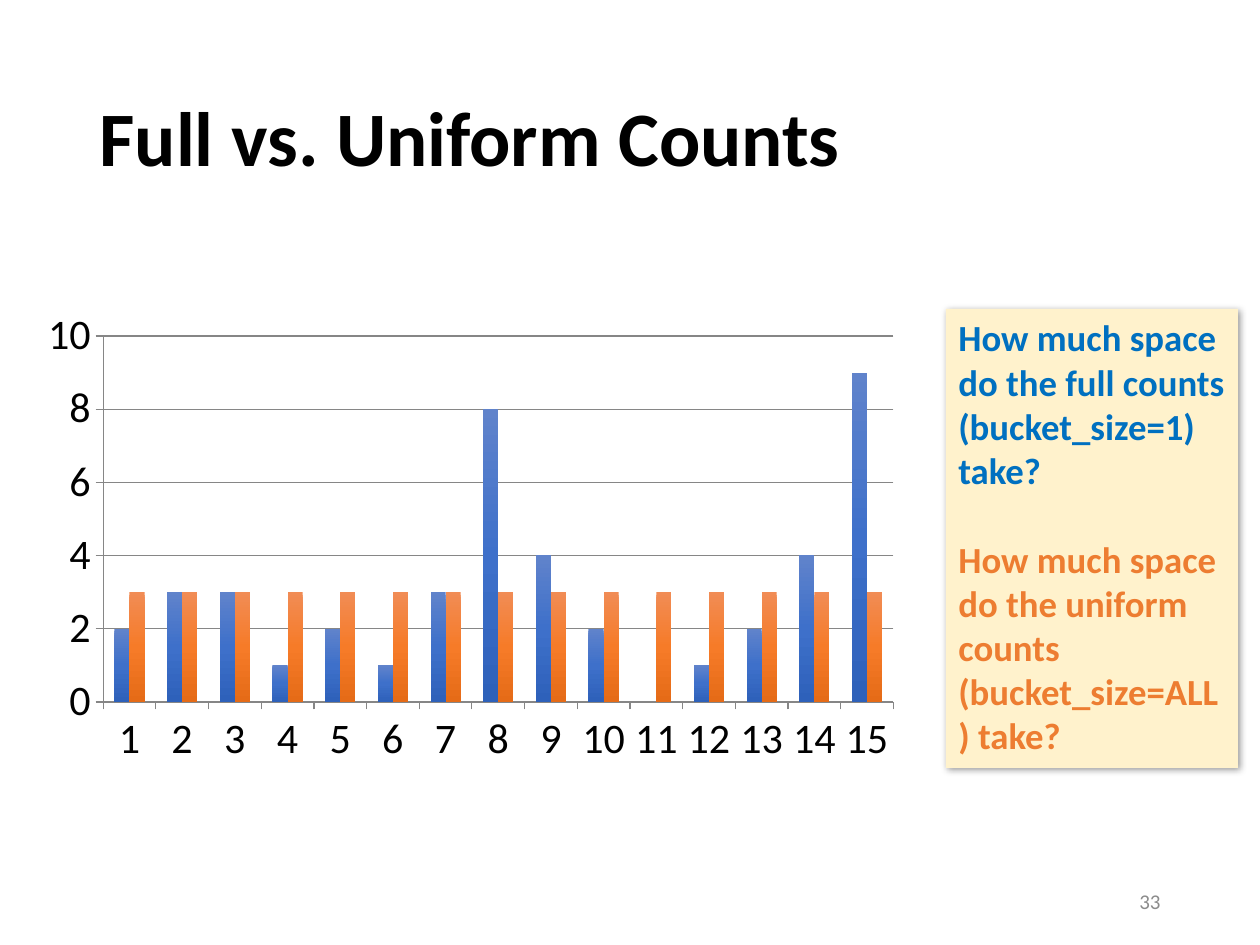
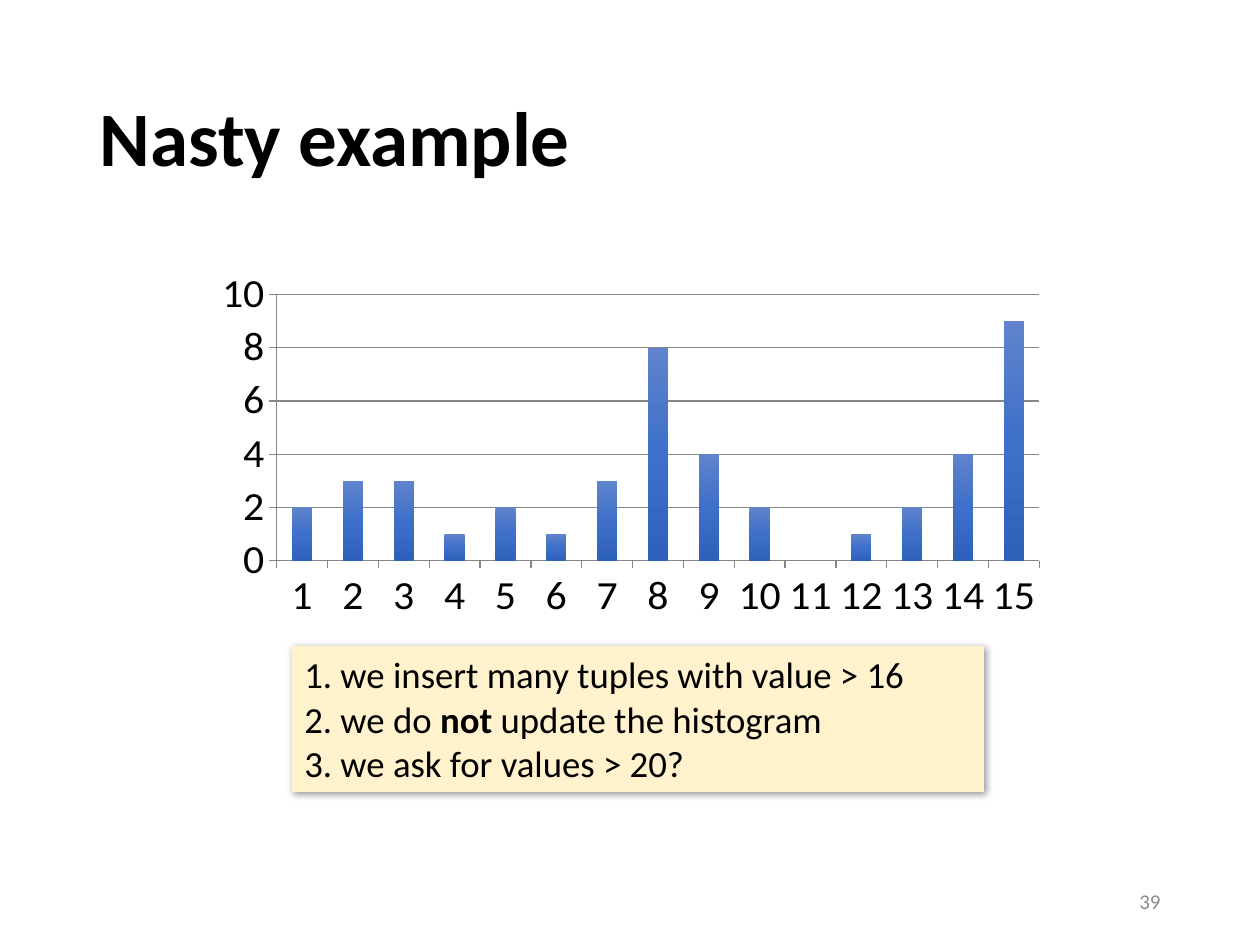
from pptx import Presentation
from pptx.chart.data import CategoryChartData
from pptx.dml.color import RGBColor
from pptx.enum.chart import XL_CHART_TYPE, XL_TICK_MARK
from pptx.enum.shapes import MSO_SHAPE
from pptx.enum.text import MSO_ANCHOR, MSO_AUTO_SIZE, PP_ALIGN
from pptx.oxml import parse_xml
from pptx.oxml.ns import nsdecls, qn
from pptx.util import Emu, Pt

COLUMNS = XL_CHART_TYPE.COLUMN_CLUSTERED
OUTSIDE = XL_TICK_MARK.OUTSIDE
RECT = MSO_SHAPE.RECTANGLE
MIDDLE, TOP = MSO_ANCHOR.MIDDLE, MSO_ANCHOR.TOP
LEFT, RIGHT = PP_ALIGN.LEFT, PP_ALIGN.RIGHT
GROW, FIXED = MSO_AUTO_SIZE.SHAPE_TO_FIT_TEXT, MSO_AUTO_SIZE.NONE

PX = 914400 / 126
FONT = "Calibri"
BLACK, GRAY, GRID = "000000", "8C8C8C", "868686"
CREAM, BLUE, ORANGE = "FFF2CC", "0070C0", "ED7D31"
BLUES = ("6083CB", "3E70CA", "2E61BA")
ORANGES = ("F18C55", "F67B28", "E56B17")

FULL = (2, 3, 3, 1, 2, 1, 3, 8, 4, 2, 0, 1, 2, 4, 9)
UNIFORM = (3,) * len(FULL)

TITLE_BOX = (87, 50, 1086, 183)
PAGE_BOX = (890, 876, 283, 50)


def px(n):
    return Emu(round(n * PX))


def rgb(color):
    return RGBColor.from_string(color)


def style(font, size, color, bold=False):
    font.name, font.size, font.bold = FONT, Pt(size), bold
    font.color.rgb = rgb(color)


def place(shape, box):
    shape.left, shape.top, shape.width, shape.height = map(px, box)


def add_page(deck, title, number):
    slide = deck.slides.add_slide(deck.slide_layouts[5])
    # Title
    head = slide.shapes.title
    place(head, TITLE_BOX)
    frame = head.text_frame
    frame.text = title
    frame.vertical_anchor, frame.auto_size = MIDDLE, FIXED
    para = frame.paragraphs[0]
    para.alignment, para.line_spacing = LEFT, 0.9
    style(para.font, 44, BLACK, True)
    # Page number
    frame = slide.shapes.add_textbox(*map(px, PAGE_BOX)).text_frame
    frame.text = str(number)
    frame.word_wrap, frame.vertical_anchor = True, MIDDLE
    para = frame.paragraphs[0]
    para.alignment = RIGHT
    style(para.font, 12, GRAY)
    return slide


def shade(series, colors):
    """Fill the bars with an even gradient from top to bottom."""
    step = 100000 // (len(colors) - 1)
    stops = "".join(
        f'<a:gs pos="{i * step}"><a:srgbClr val="{color}"/></a:gs>'
        for i, color in enumerate(colors))
    series.format.fill.background()
    props = series._element.spPr
    props.replace(props.find(qn("a:noFill")), parse_xml(
        f'<a:gradFill {nsdecls("a")} rotWithShape="1"><a:gsLst>{stops}'
        '</a:gsLst><a:lin ang="5400000" scaled="0"/></a:gradFill>'))


def set_plot(chart, box, inner):
    """Fix the axis area, given in px from the corner of the chart."""
    sizes = (box[2], box[3]) * 2
    parts = "".join(
        f'<c:{key} val="{n / size:.3f}"/>'
        for key, n, size in zip("xywh", inner, sizes))
    area = chart._chartSpace.chart.plotArea
    old = area.find(qn("c:layout"))
    if old is not None:
        area.remove(old)
    area.insert(0, parse_xml(
        f'<c:layout {nsdecls("c")}><c:manualLayout>'
        '<c:layoutTarget val="inner"/><c:xMode val="edge"/>'
        f'<c:yMode val="edge"/>{parts}</c:manualLayout></c:layout>'))


def add_counts(slide, box, inner, rows):
    data = CategoryChartData()
    data.categories = [str(i + 1) for i in range(len(FULL))]
    for i, (values, _) in enumerate(rows):
        data.add_series(f"Series {i + 1}", values)
    chart = slide.shapes.add_chart(COLUMNS, *map(px, box), data).chart
    chart.has_legend = chart.has_title = False
    style(chart.font, 24, BLACK)
    set_plot(chart, box, inner)
    # Bars
    plot = chart.plots[0]
    plot.gap_width, plot.overlap = 150, 0
    plot.vary_by_categories = False
    for series, (_, colors) in zip(plot.series, rows):
        shade(series, colors)
    # Axes
    scale = chart.value_axis
    scale.minimum_scale, scale.maximum_scale, scale.major_unit = 0, 10, 2
    scale.has_major_gridlines = True
    for axis in (chart.category_axis, scale):
        axis.major_tick_mark = OUTSIDE
        style(axis.tick_labels.font, 24, BLACK)
    for part in (chart.category_axis, scale, scale.major_gridlines):
        part.format.line.color.rgb = rgb(GRID)
        part.format.line.width = Pt(0.75)


def add_note(slide, box, lines, bold=False, gap=0):
    """Each line is a color and its runs; every second run flips the weight."""
    note = slide.shapes.add_shape(RECT, *map(px, box))
    note.fill.solid()
    note.fill.fore_color.rgb = rgb(CREAM)
    note.line.fill.background()
    # Soft shadow
    note.shadow.inherit = False
    note._element.spPr.find(qn("a:effectLst")).append(parse_xml(
        f'<a:outerShdw {nsdecls("a")} blurRad="50800" dist="12700" '
        'dir="2700000" algn="tl" rotWithShape="0"><a:srgbClr val="000000">'
        '<a:alpha val="40000"/></a:srgbClr></a:outerShdw>'))
    # Text
    frame = note.text_frame
    frame.word_wrap, frame.auto_size = True, GROW
    frame.vertical_anchor = TOP
    for i, (color, *runs) in enumerate(lines):
        para = frame.add_paragraph() if i else frame.paragraphs[0]
        para.alignment = LEFT
        para.space_before = Pt(gap if i else 0)
        style(para.font, 21, color, bold)
        for j, text in enumerate(runs):
            run = para.add_run()
            run.text = text
            if j % 2:
                run.font.bold = not bold


def add_compare(deck):
    slide = add_page(deck, "Full vs. Uniform Counts", 33)
    add_counts(slide, (32, 301, 879, 474), (71, 35, 790, 366),
               [(FULL, BLUES), (UNIFORM, ORANGES)])
    add_note(slide, (946, 309, 292, 459), [
        (BLUE, "How much space do the full counts (bucket_size=1) take?"),
        (ORANGE, "How much space do the uniform counts "
                 "(bucket_size=ALL) take?"),
    ], bold=True, gap=25.6)


def add_nasty(deck):
    slide = add_page(deck, "Nasty example", 39)
    add_counts(slide, (222, 270, 834, 359), (50, 6, 767, 281),
               [(FULL, BLUES)])
    add_note(slide, (292, 646, 692, 146), [
        (BLACK, "1. we insert many tuples with value > 16"),
        (BLACK, "2. we do ", "not ", "update the histogram"),
        (BLACK, "3. we ask for values > 20?"),
    ])


def main():
    deck = Presentation()
    deck.slide_width, deck.slide_height = px(1260), px(945)
    add_compare(deck)
    add_nasty(deck)
    deck.save("out.pptx")


if __name__ == "__main__":
    main()
